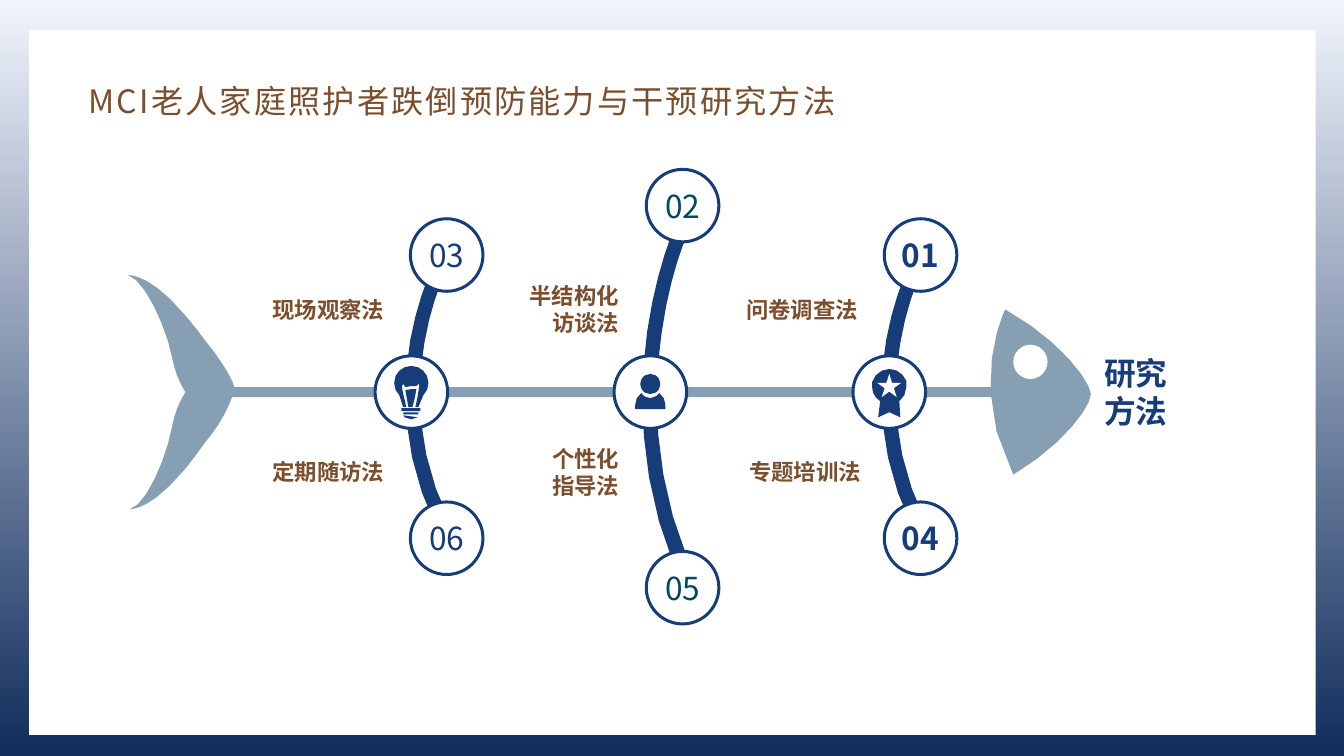
import dataclasses
import math

import pptx
import pptx.dml.color
import pptx.enum.shapes
import pptx.enum.text
import pptx.oxml.ns
import pptx.util
from lxml import etree

PX = 9144  # one hundredth of an inch
KIND = pptx.enum.shapes.MSO_SHAPE
ALIGN = pptx.enum.text.PP_ALIGN
ANCHOR = pptx.enum.text.MSO_ANCHOR


@dataclasses.dataclass(frozen=True)
class Theme:
    font: str = "Noto Sans CJK SC"
    navy: str = "173C7A"
    teal: str = "014864"
    brown: str = "7C4E2C"
    fish: str = "869FB2"
    white: str = "FFFFFF"
    sky: str = "F0F4FC"
    deep: str = "112D5C"
    title: float = 23
    large: float = 22.6
    label: float = 16


THEME = Theme()

# Outlines: two numbers are a corner, six are a Bezier curve.
HEAD = [(38, 0), (38, 0, 0, 75, 46, 164), (99, 132, 123, 95, 123, 84),
        (123, 73, 94, 31, 38, 0)]
TAIL = [(0, 0), (15, 3, 38, 50, 44, 83), (47, 98, 52, 108, 57, 116),
        (52, 124, 47, 134, 44, 149), (38, 183, 17, 229, 2, 232),
        (6, 232, 24, 231, 56, 193), (69, 177, 76, 166, 82, 159),
        (99, 138, 106, 113, 106, 113), (104, 101, 86, 77, 83, 73),
        (77, 66, 69, 54, 56, 39), (25, 2, 5, 0, 0, 0)]
RIB = [(43, 0), (41, 0, 39, 1, 37, 4), (37, 5, 19, 37, 10, 87),
       (2, 133, 0, 202, 37, 275), (38, 278, 41, 279, 43, 279),
       (45, 279, 46, 279, 47, 278), (50, 276, 51, 272, 50, 269),
       (15, 200, 16, 133, 24, 90), (32, 42, 49, 11, 50, 10),
       (51, 7, 50, 3, 47, 1), (46, 0, 45, 0, 43, 0)]
BULB = [(38, 12), (29, 12, 21, 19, 21, 29), (21, 34, 23, 38, 26, 41),
        (30, 53), (33, 53), (32, 47, 30, 41, 29, 35),
        (29, 34, 29, 32, 29, 31), (29, 30, 29, 30, 30, 30),
        (31, 30, 31, 30, 31, 31), (32, 31, 32, 32, 32, 33),
        (34, 32, 36, 32, 38, 32), (40, 32, 42, 32, 43, 32),
        (43, 32, 43, 31, 44, 31), (44, 30, 44, 30, 45, 30),
        (46, 30, 46, 30, 46, 31), (45, 38, 44, 45, 42, 53), (45, 53),
        (50, 41), (53, 38, 55, 34, 55, 29), (55, 19, 47, 12, 38, 12)]
CORE = [(38, 35), (36, 35, 34, 35, 32, 36), (33, 41, 34, 47, 35, 53),
        (39, 53), (41, 47, 42, 41, 43, 35), (41, 35, 40, 35, 38, 35)]
CAP = [(30, 61), (30, 61, 31, 65, 38, 65), (45, 65, 45, 61, 45, 61)]
BUST = [(29, 39), (25, 42, 23, 46, 23, 51), (23, 55), (53, 55), (53, 51),
        (53, 46, 51, 42, 47, 39), (46, 41, 45, 41, 44, 42),
        (43, 43, 40, 44, 38, 44), (34, 44, 31, 42, 29, 39)]
MEDAL = [(38, 15), (30, 15, 23, 21, 21, 28), (21, 30, 21, 31, 21, 33),
         (21, 39, 24, 44, 29, 47), (27, 63), (38, 58), (49, 63), (48, 47),
         (52, 44, 55, 39, 55, 33), (55, 31, 55, 29, 55, 27),
         (52, 20, 46, 15, 38, 15)]


def tint(hue):
    return pptx.dml.color.RGBColor.from_string(hue)


def write(frame, text, size, hue, bold=False, align=ALIGN.LEFT,
          anchor=ANCHOR.MIDDLE, inset=(14, 13), wrap=True, gap=0):
    frame.word_wrap = wrap
    frame.auto_size = pptx.enum.text.MSO_AUTO_SIZE.NONE
    frame.vertical_anchor = anchor
    frame.margin_left = frame.margin_right = inset[0] * PX
    frame.margin_top = frame.margin_bottom = inset[1] * PX
    line = frame.paragraphs[0]
    line.alignment = align
    run = line.add_run()
    run.text = text
    font = run.font
    font.name, font.size, font.bold = THEME.font, pptx.util.Pt(size), bold
    font.color.rgb = tint(hue)
    props = run._r.get_or_add_rPr()
    props.set("spc", str(round(gap * 100)))
    east = etree.SubElement(props, pptx.oxml.ns.qn("a:ea"))
    east.set("typeface", THEME.font)


def paint(shape, hue, edge=None):
    shape.shadow.inherit = False
    shape.fill.solid()
    shape.fill.fore_color.rgb = tint(hue)
    if edge:
        shape.line.color.rgb = tint(edge)
        shape.line.width = 3 * PX
    else:
        shape.line.fill.background()
    return shape


def place(slide, kind, box, hue, edge=None):
    shape = slide.shapes.add_shape(kind, *(n * PX for n in box))
    return paint(shape, hue, edge)


def label(slide, box, text, size, hue, align):
    frame = slide.shapes.add_textbox(*(n * PX for n in box)).text_frame
    write(frame, text, size, hue, bold=True, align=align)


def trace(slide, left, top, outline, hue, stretch=1):
    """Draw a closed outline; longer curves get more short lines."""
    dots = [outline[0]]
    for part in outline[1:]:
        if len(part) == 2:
            dots.append(part)
            continue
        ends = (dots[-1], part[:2], part[2:4], part[4:])
        steps = min(6, math.ceil(math.dist(ends[0], ends[3]) / 8))
        for step in range(1, steps + 1):
            t = step / steps
            mix = ((1 - t) ** 3, 3 * t * (1 - t) ** 2, 3 * t * t * (1 - t), t ** 3)
            dots.append(tuple(sum(m * p[axis] for m, p in zip(mix, ends))
                              for axis in (0, 1)))
    dots = [((left + x) * PX, (top + y * stretch) * PX) for x, y in dots]
    pen = slide.shapes.build_freeform(*dots[0], scale=1.0)
    pen.add_line_segments(dots[1:-1], close=True)
    paint(pen.convert_to_shape(), hue)


def bulb(slide, left, top):
    for outline in (BULB, CORE, CAP):
        trace(slide, left, top, outline, THEME.navy)
    for x, y, wide, high in ((28, 54, 19, 3), (30, 58, 15, 2)):
        place(slide, KIND.RECTANGLE, (left + x, top + y, wide, high), THEME.navy)


def person(slide, left, top):
    place(slide, KIND.OVAL, (left + 28, top + 20, 20, 20), THEME.navy)
    trace(slide, left, top, BUST, THEME.navy)


def award(slide, left, top):
    trace(slide, left, top, MEDAL, THEME.navy)
    place(slide, KIND.STAR_5_POINT, (left + 26, top + 20, 24, 23), THEME.white)


def ring(slide, left, top):
    box = (left + 2, top + 2, 72, 72)
    return place(slide, KIND.OVAL, box, THEME.white, THEME.navy)


def bone(slide, box, rib, hub, icon, ends, hue, bold):
    """Place a rib with a numbered ring at each end and an icon ring."""
    left, top, wide, high = box
    trace(slide, left + rib[0], top + rib[1], RIB, THEME.navy, rib[2] / 279)
    for y, (mark, text, spot) in zip((top, top + high - 76), ends):
        write(ring(slide, left + wide - 76, y).text_frame, mark, THEME.large,
              hue, bold=bold, align=ALIGN.CENTER, inset=(0, 0), wrap=False)
        label(slide, spot, text, THEME.label, THEME.brown, ALIGN.RIGHT)
    ring(slide, left, hub)
    icon(slide, left, hub)


def fish(slide, left, top):
    trace(slide, left + 832, top + 34, HEAD, THEME.fish)
    place(slide, KIND.OVAL, (left + 878, top + 69, 34, 34), THEME.white)
    trace(slide, left, top, TAIL, THEME.fish)
    place(slide, KIND.RECTANGLE, (left + 84, top + 111, 800, 10), THEME.fish)
    label(slide, (left + 954, top + 92, 114, 48), "研究方法", THEME.large,
          THEME.navy, ALIGN.LEFT)


def bones(slide, hub):
    bone(slide, (370, 215, 111, 357), (27, 35, 279), hub, bulb,
         (("03", "现场观察法", (254, 264, 141, 87)),
          ("06", "定期随访法", (254, 424, 141, 87))), THEME.navy, False)
    bone(slide, (607, 166, 108, 455), (25, 54, 347), hub, person,
         (("02", "半结构化访谈法", (504, 263, 124, 87)),
          ("05", "个性化指导法", (516, 425, 112, 87))), THEME.teal, False)
    bone(slide, (844, 215, 107, 357), (25, 35, 279), hub, award,
         (("01", "问卷调查法", (724, 264, 141, 87)),
          ("04", "专题培训法", (727, 424, 141, 87))), THEME.navy, True)


def frame(slide, box):
    """Set the backdrop, the white panel and the title."""
    fill = slide.background.fill
    fill.gradient()
    fill.gradient_angle = 270
    for stop, hue in zip(fill.gradient_stops, (THEME.sky, THEME.deep)):
        stop.color.rgb = tint(hue)
    left, top, wide, high = box
    panel = place(slide, KIND.RECTANGLE, box, THEME.white)
    title = slide.shapes.title
    title.element.addprevious(panel.element)
    title.left, title.top = (left + 49) * PX, (top + 34) * PX
    title.width, title.height = 1162 * PX, 60 * PX
    write(title.text_frame, "MCI老人家庭照护者跌倒预防能力与干预研究方法",
          THEME.title, THEME.brown, anchor=ANCHOR.BOTTOM, inset=(10, 5), gap=1.5)


def main():
    deck = pptx.Presentation()
    deck.slide_width, deck.slide_height = 1333 * PX, 750 * PX
    slide = deck.slides.add_slide(deck.slide_layouts.get_by_name("Title Only"))
    frame(slide, (29, 30, 1276, 699))
    fish(slide, 127, 273)
    bones(slide, 351)
    deck.save("out.pptx")


if __name__ == "__main__":
    main()
